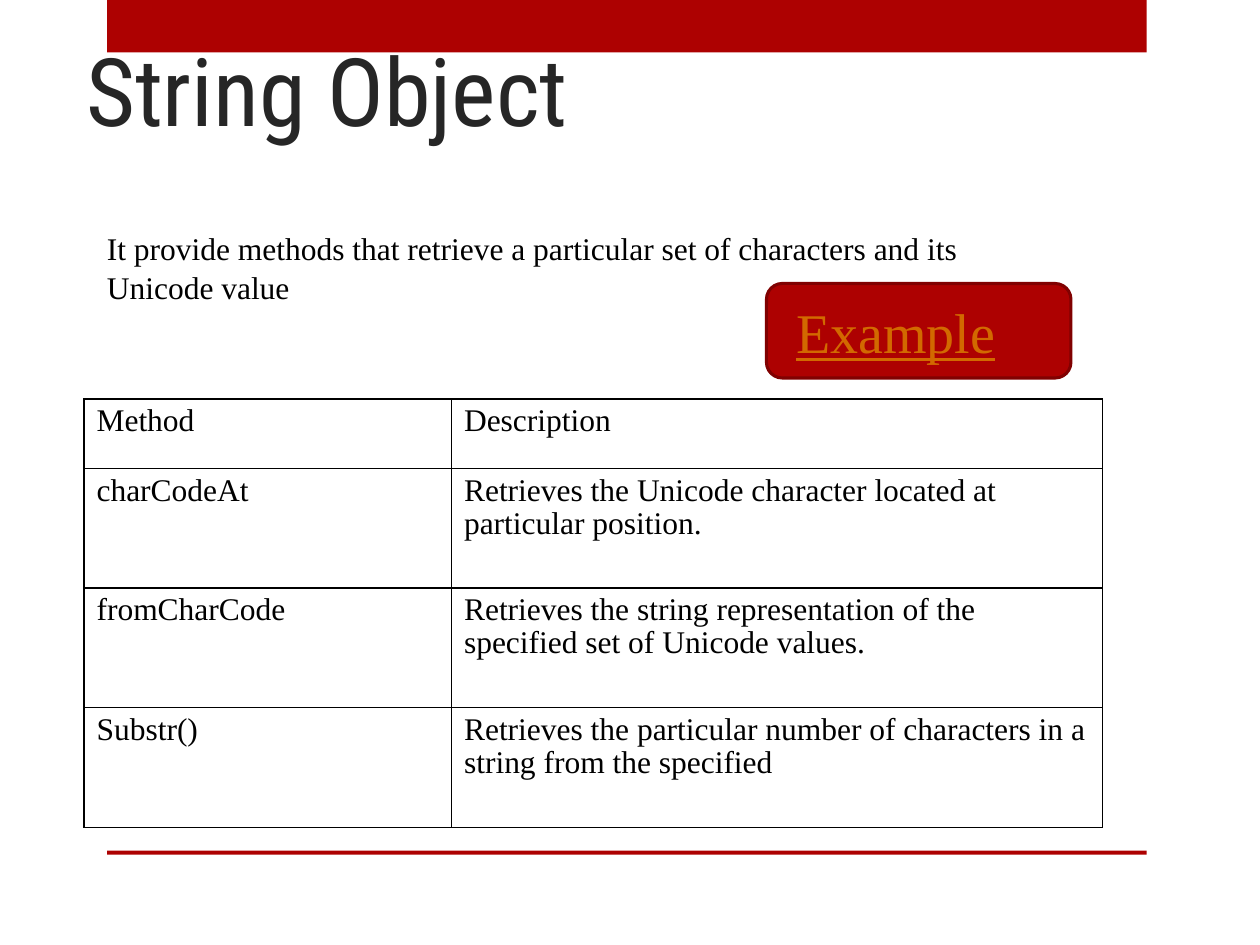
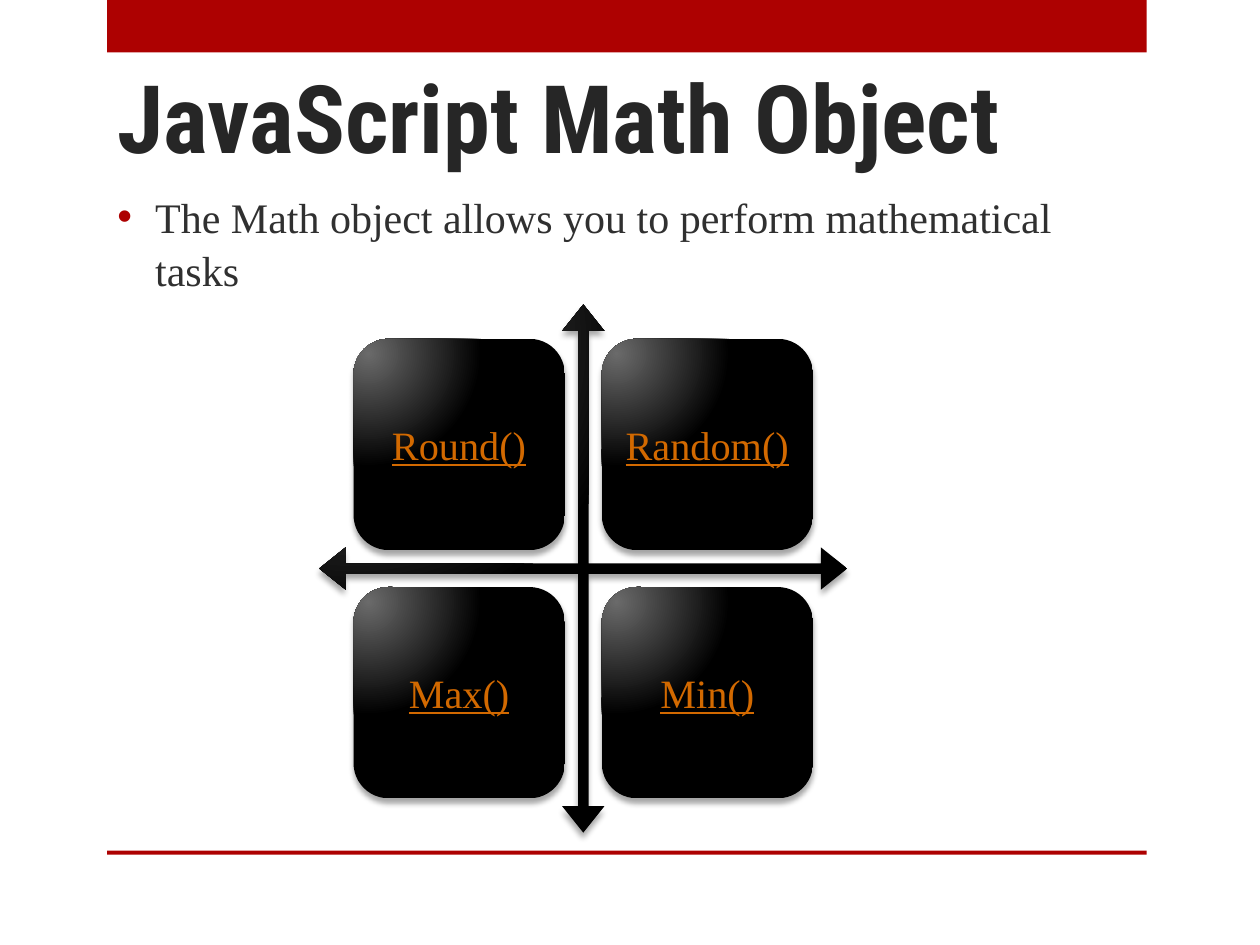
"""Builds two slides on the String and Math objects of JavaScript."""
from lxml import etree
from pptx import Presentation
from pptx.dml.color import RGBColor
from pptx.enum.shapes import MSO_SHAPE
from pptx.enum.text import MSO_ANCHOR, MSO_AUTO_SIZE, PP_ALIGN
from pptx.oxml import parse_xml
from pptx.oxml.ns import nsdecls, qn
from pptx.util import Inches, Pt

RED = RGBColor(0xAD, 0x01, 0x01)
DARK_RED = RGBColor(0x80, 0x01, 0x01)
ORANGE = RGBColor(0xD2, 0x69, 0x00)
BLACK = RGBColor(0x00, 0x00, 0x00)
GREY = RGBColor(0x30, 0x30, 0x30)
INK = RGBColor(0x26, 0x26, 0x26)
SHINE = RGBColor(0x6A, 0x6A, 0x6A)

RECT = MSO_SHAPE.RECTANGLE
ROUND = MSO_SHAPE.ROUNDED_RECTANGLE
CROSS = MSO_SHAPE.QUAD_ARROW
LEFT, MID = PP_ALIGN.LEFT, PP_ALIGN.CENTER
TOP, CENTER, BOTTOM = MSO_ANCHOR.TOP, MSO_ANCHOR.MIDDLE, MSO_ANCHOR.BOTTOM
FIXED = MSO_AUTO_SIZE.NONE

HEAD_FONT, BODY_FONT = "Roboto Condensed", "Times New Roman"
TITLE_ONLY = 5
COLS, ROWS = 120, 90

METHODS = [
    ("Method", "Description"),
    ("charCodeAt",
     "Retrieves the Unicode character located at particular position."),
    ("fromCharCode",
     "Retrieves the string representation of the specified set of "
     "Unicode values."),
    ("Substr()",
     "Retrieves the particular number of characters in a string from "
     "the specified"),
]
TILES = [("Round()", "Random()"), ("Max()", "Min()")]


class Deck:
    """Holds the shared style and the current slide."""

    def __init__(self):
        self.file = Presentation()
        self.file.slide_width = Inches(10)
        self.file.slide_height = Inches(7.5)
        self.slide = None

    def across(self, cols):
        """Turns grid columns into a length."""
        return round(self.file.slide_width * cols / COLS)

    def down(self, rows):
        """Turns grid rows into a length."""
        return round(self.file.slide_height * rows / ROWS)

    def box(self, left, top, width, height):
        """Turns a grid box into four lengths."""
        return (self.across(left), self.down(top),
                self.across(width), self.down(height))

    def style(self, frame, size, color, font=BODY_FONT, bold=False,
              line=False, align=LEFT, space=1.0):
        """Formats each paragraph and run of a text frame."""
        for para in frame.paragraphs:
            para.alignment = align
            para.line_spacing = space
            for run in para.runs:
                face = run.font
                face.name, face.size, face.bold = font, Pt(size), bold
                face.color.rgb, face.underline = color, line

    def page(self, title, spot, bold=False):
        """Starts a slide with its bands and title."""
        layout = self.file.slide_layouts[TITLE_ONLY]
        self.slide = self.file.slides.add_slide(layout)
        for top, height in ((0, 5), (81, 0.4)):
            self.shape(RECT, (10.2, top, 99, height), RED)
        head = self.slide.shapes.title
        head.left, head.top, head.width, head.height = self.box(*spot)
        frame = head.text_frame
        frame.text = title
        frame.auto_size, frame.vertical_anchor = FIXED, BOTTOM
        self.style(frame, 54, INK, HEAD_FONT, bold)

    def shape(self, kind, spot, fill=None, edge=None):
        """Draws a preset shape, flat if a fill is given, else glossy."""
        item = self.slide.shapes.add_shape(kind, *self.box(*spot))
        item.shadow.inherit = False
        if fill is None:
            self.gloss(item)
        else:
            item.fill.solid()
            item.fill.fore_color.rgb = fill
        if edge is None:
            item.line.fill.background()
        else:
            item.line.color.rgb = edge
            item.line.width = Pt(1.75)
        return item

    def gloss(self, item):
        """Gives a shape a round shine and a soft shadow."""
        stops = "".join(
            f'<a:gs pos="{pos}000"><a:srgbClr val="{tone}"/></a:gs>'
            for pos, tone in ((0, SHINE), (76, BLACK), (100, BLACK)))
        effect = item.element.spPr.find(qn("a:effectLst"))
        effect.addprevious(parse_xml(
            f'<a:gradFill {nsdecls("a")} rotWithShape="1">'
            f'<a:gsLst>{stops}</a:gsLst><a:path path="circle">'
            '<a:fillToRect l="15000" t="15000" r="100000" b="100000"/>'
            '</a:path></a:gradFill>'))
        effect.append(parse_xml(
            f'<a:outerShdw {nsdecls("a")} blurRad="{Pt(3)}" '
            f'dist="{Pt(3)}" dir="5400000" rotWithShape="0">'
            f'<a:srgbClr val="{BLACK}"><a:alpha val="35000"/></a:srgbClr>'
            '</a:outerShdw>'))

    def label(self, item, text, size, align=MID, inset=0.1):
        """Writes a link-like label inside a shape."""
        frame = item.text_frame
        frame.text = text
        frame.word_wrap, frame.vertical_anchor = True, CENTER
        frame.margin_left = Inches(inset)
        self.style(frame, size, ORANGE, line=True, align=align)

    def text(self, spot, words, size, color, anchor=TOP):
        """Adds a wrapped text box."""
        frame = self.slide.shapes.add_textbox(*self.box(*spot)).text_frame
        frame.text = words
        frame.word_wrap, frame.vertical_anchor = True, anchor
        self.style(frame, size, color, space=1.05)
        return frame

    def bullet(self, spot, words, size):
        """Adds a text box with a red bullet."""
        para = self.text(spot, words, size, GREY, CENTER).paragraphs[0]
        para.space_before = Pt(size * 0.2)
        props = para._p.get_or_add_pPr()
        props.set("marL", str(Inches(0.3)))
        props.set("indent", str(-Inches(0.3)))
        tint = etree.SubElement(props, qn("a:buClr"))
        etree.SubElement(tint, qn("a:srgbClr"), val=str(RED))
        etree.SubElement(props, qn("a:buFont"), typeface="Arial")
        etree.SubElement(props, qn("a:buChar"), char="•")

    def table(self, spot, data, cols, rows):
        """Adds a plain ruled table."""
        grid = self.slide.shapes.add_table(
            len(rows), len(cols), *self.box(*spot)).table
        grid.first_row = grid.horz_banding = False
        for col, width in zip(grid.columns, cols):
            col.width = self.across(width)
        for row, height, words in zip(grid.rows, rows, data):
            row.height = self.down(height)
            for cell, word in zip(row.cells, words):
                cell.text = word
                self.style(cell.text_frame, 18, BLACK, space=0.95)
                self.rule(cell)

    def rule(self, cell):
        """Draws thin black lines round a clear cell."""
        props = cell._tc.get_or_add_tcPr()
        for side in "LRTB":
            props.append(parse_xml(
                f'<a:ln{side} {nsdecls("a")} w="{Pt(1)}"><a:solidFill>'
                f'<a:srgbClr val="{BLACK}"/></a:solidFill></a:ln{side}>'))
        cell.fill.background()

    def matrix(self, left, top, side, names):
        """Draws a cross of arrows with a tile in each quarter."""
        cross = self.shape(CROSS, (left, top, side, side))
        for spot, value in enumerate((0.02, 0.04, 0.05)):
            cross.adjustments[spot] = value
        edge, step, size = side * 0.065, side * 0.47, side * 0.4
        for row, line in enumerate(names):
            for col, name in enumerate(line):
                tile = self.shape(ROUND, (left + edge + col * step,
                                          top + edge + row * step,
                                          size, size))
                self.label(tile, name, 23)


def main():
    """Builds and saves both slides."""
    deck = Deck()

    deck.page("String Object", (7, 2, 100, 12.5))
    deck.table((8, 38, 97, 41), METHODS, (35, 62), (6.6, 11.4, 11.4, 11.4))
    deck.text((9, 21, 93, 8.5),
              "It provide methods that retrieve a particular set of "
              "characters and its Unicode value", 18, BLACK)
    button = deck.shape(ROUND, (73, 27, 29, 9), RED, DARK_RED)
    deck.label(button, "Example", 32, LEFT, 0.2)

    deck.page("JavaScript Math Object", (10, 2, 97, 15), bold=True)
    deck.bullet((10, 16, 99, 14),
                "The Math object allows you to perform mathematical tasks",
                24)
    deck.matrix(30.4, 29, 50.3, TILES)

    deck.file.save("out.pptx")


if __name__ == "__main__":
    main()
